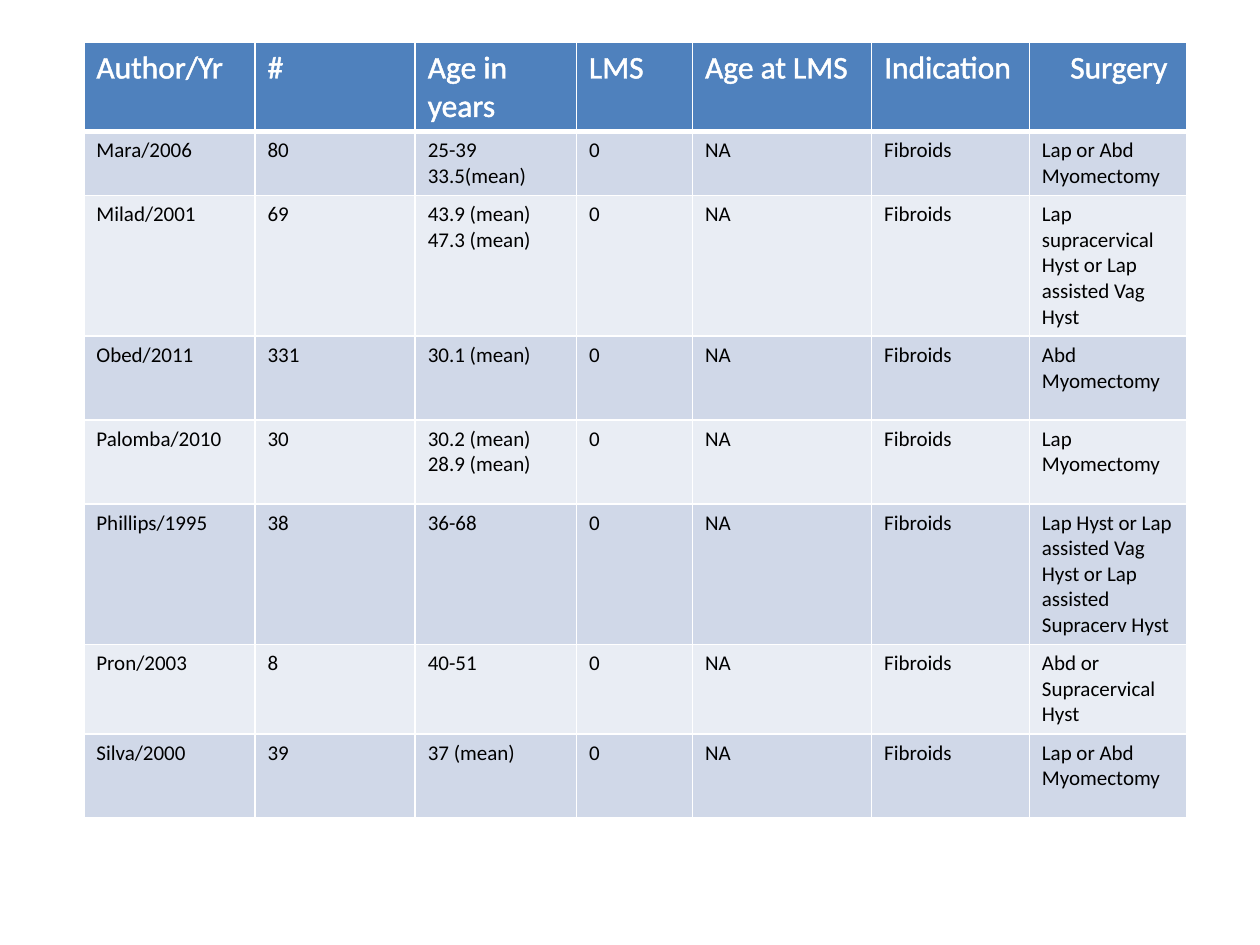
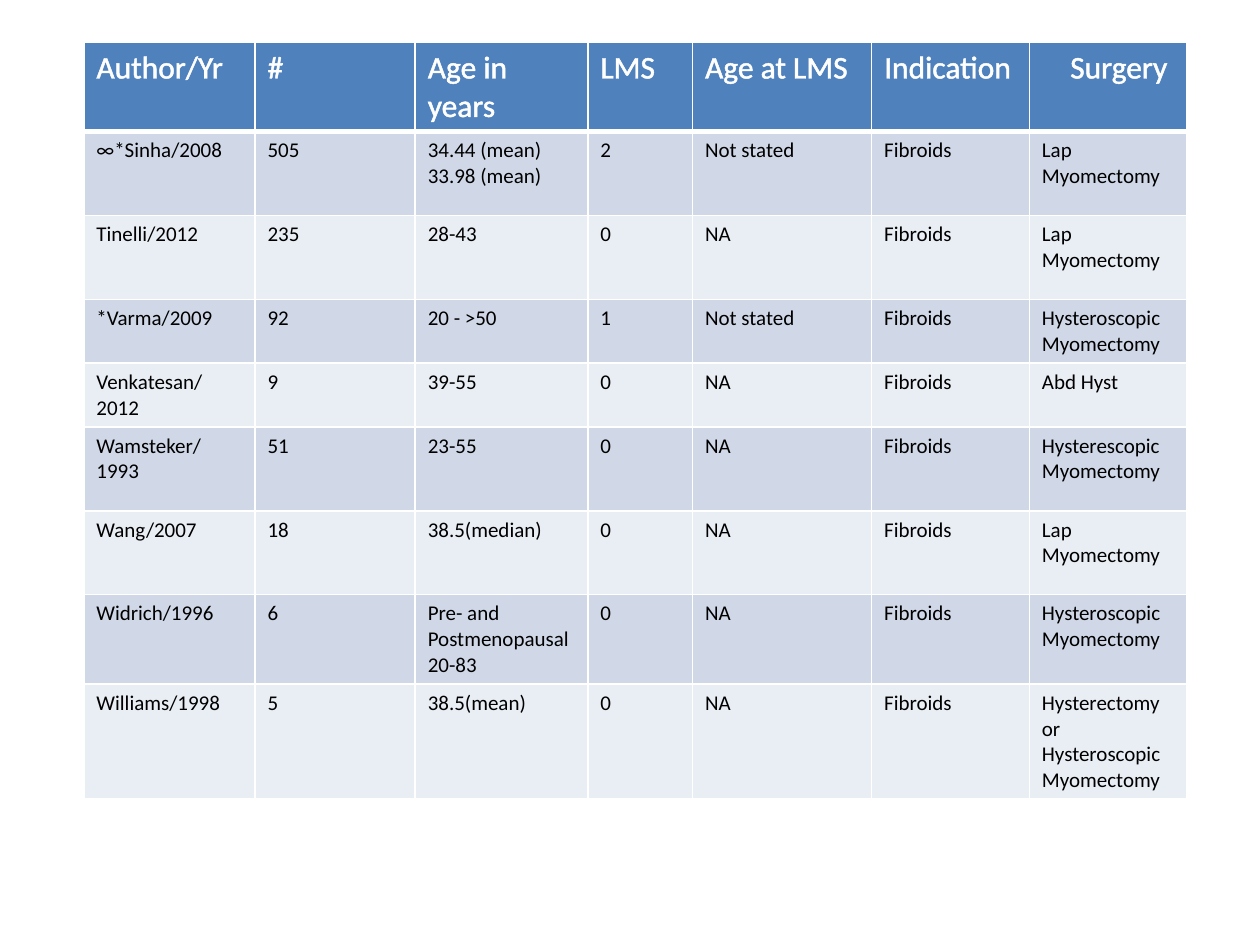
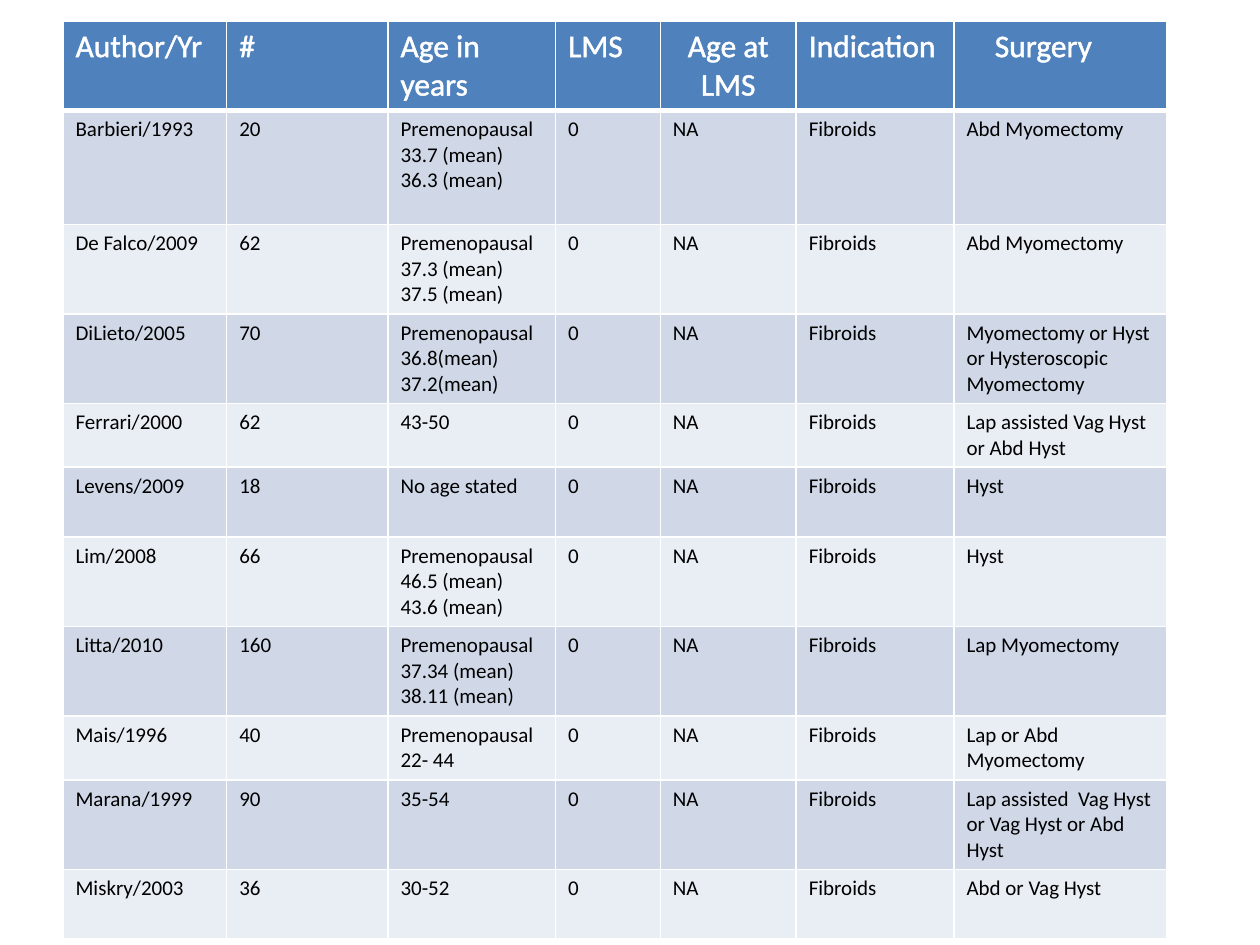
import dataclasses

import lxml.etree
import pptx
import pptx.dml.color
import pptx.enum.text
import pptx.oxml.ns
import pptx.util

Cm = pptx.util.Cm
Pt = pptx.util.Pt
qn = pptx.oxml.ns.qn
Align = pptx.enum.text.PP_ALIGN


@dataclasses.dataclass(frozen=True)
class Theme:
    """Colours, type sizes and line widths shared by all pages."""
    font: str = "Calibri"
    header_fill: str = "4F81BD"
    bands: tuple = ("D0D8E8", "E9EDF4")
    white: str = "FFFFFF"
    black: str = "000000"
    header_size: float = 18
    body_size: float = 12
    outline: float = 1.45
    rule: float = 1
    header_rule: float = 3
    surgery_indent: float = 0.57


@dataclasses.dataclass(frozen=True)
class Study:
    """One study, with the least height of its row in centimetres."""
    height: float
    author: str
    patients: str
    age: str
    surgery: str
    cases: str = "0"
    case_age: str = "NA"
    indication: str = "Fibroids"

    def cells(self):
        """Return the texts of the row in column order."""
        return (self.author, self.patients, self.age, self.cases,
                self.case_age, self.indication, self.surgery)


@dataclasses.dataclass(frozen=True)
class StudyPage:
    """Place, column widths and studies of one page."""
    left: float
    top: float
    columns: tuple
    header_height: float
    studies: tuple
    case_age_align: Align = Align.LEFT


THEME = Theme()
HEADINGS = ("Author/Yr", "#", "Age in years", "LMS", "Age at LMS", "Indication", "Surgery")
PAGES = (
    StudyPage(1.69, 0.85, (3.45, 3.23, 3.25, 2.34, 3.61, 3.18, 3.18), 1.69, (
        Study(1.06, "Mara/2006", "80", "25-39\n33.5(mean)", "Lap or Abd Myomectomy"),
        Study(1.69, "Milad/2001", "69", "43.9 (mean)\n47.3 (mean)",
              "Lap supracervical Hyst or Lap assisted Vag Hyst"),
        Study(1.69, "Obed/2011", "331", "30.1 (mean)", "Abd Myomectomy"),
        Study(1.69, "Palomba/2010", "30", "30.2 (mean)\n28.9 (mean)", "Lap Myomectomy"),
        Study(1.69, "Phillips/1995", "38", "36-68",
              "Lap Hyst or Lap assisted Vag Hyst or Lap assisted Supracerv Hyst"),
        Study(1.69, "Pron/2003", "8", "40-51", "Abd or Supracervical Hyst"),
        Study(1.69, "Silva/2000", "39", "37 (mean)", "Lap or Abd Myomectomy"),
    )),
    StudyPage(1.69, 0.85, (3.45, 3.23, 3.48, 2.11, 3.61, 3.18, 3.18), 1.69, (
        Study(1.69, "∞*Sinha/2008", "505", "34.44 (mean)\n33.98 (mean)", "Lap Myomectomy",
              "2", "Not stated"),
        Study(1.69, "Tinelli/2012", "235", "28-43", "Lap Myomectomy"),
        Study(1.27, "*Varma/2009", "92", "20 - >50", "Hysteroscopic Myomectomy",
              "1", "Not stated"),
        Study(1.27, "Venkatesan/\n2012", "9", "39-55", "Abd Hyst"),
        Study(1.69, "Wamsteker/\n1993", "51", "23-55", "Hysterescopic Myomectomy"),
        Study(1.69, "Wang/2007", "18", "38.5(median)", "Lap Myomectomy"),
        Study(0.85, "Widrich/1996", "6", "Pre- and Postmenopausal\v20-83",
              "Hysteroscopic Myomectomy"),
        Study(1.69, "Williams/1998", "5", "38.5(mean)",
              "Hysterectomy or Hysteroscopic Myomectomy"),
    )),
    StudyPage(1.27, 0.42, (3.3, 3.25, 3.38, 2.11, 2.74, 3.18, 4.29), 1.41, (
        Study(2.3, "Barbieri/1993", "20", "Premenopausal\v33.7 (mean)\n36.3 (mean)",
              "Abd Myomectomy"),
        Study(1.41, "De Falco/2009", "62", "Premenopausal\v37.3 (mean)\n37.5 (mean)",
              "Abd Myomectomy"),
        Study(1.41, "DiLieto/2005", "70", "Premenopausal\v36.8(mean)\n37.2(mean)",
              "Myomectomy or Hyst or Hysteroscopic Myomectomy"),
        Study(1.02, "Ferrari/2000", "62", "43-50", "Lap assisted Vag Hyst\nor Abd Hyst"),
        Study(1.41, "Levens/2009", "18", "No age stated", "Hyst"),
        Study(1.13, "Lim/2008", "66", "Premenopausal\v46.5 (mean)\n43.6 (mean)", "Hyst"),
        Study(1.19, "Litta/2010", "160", "Premenopausal\v37.34 (mean)\n38.11 (mean)",
              "Lap Myomectomy"),
        Study(0.85, "Mais/1996", "40", "Premenopausal\v22- 44", "Lap or Abd Myomectomy"),
        Study(1.41, "Marana/1999", "90", "35-54",
              "Lap assisted  Vag Hyst or Vag Hyst or Abd Hyst"),
        Study(1.41, "Miskry/2003", "36", "30-52", "Abd or Vag Hyst"),
    ), Align.CENTER),
)


def rgb(value):
    """Turn a hex string into a colour."""
    return pptx.dml.color.RGBColor.from_string(value)


def make_line(tag, width):
    """Make a solid white line element of the given width in points."""
    line = lxml.etree.Element(qn(tag), w=str(int(Pt(width))))
    fill = lxml.etree.SubElement(line, qn("a:solidFill"))
    lxml.etree.SubElement(fill, qn("a:srgbClr"), val=THEME.white)
    return line


def style_cell(cell, fill, top, bottom):
    """Give a cell its borders and its fill."""
    properties = cell._tc.get_or_add_tcPr()
    widths = {"L": THEME.rule, "R": THEME.rule, "T": top, "B": bottom}
    for side, width in widths.items():
        properties.append(make_line(f"a:ln{side}", width))
    cell.fill.solid()
    cell.fill.fore_color.rgb = rgb(fill)


def write_cell(cell, text, size, color):
    """Write a text run by run, with its paragraphs and line breaks."""
    frame = cell.text_frame
    for number, block in enumerate(text.split("\n")):
        para = frame.add_paragraph() if number else frame.paragraphs[0]
        for position, words in enumerate(block.split("\v")):
            if position:
                para.add_line_break()
            span = para.add_run()
            span.text = words
            span.font.name = THEME.font
            span.font.size = Pt(size)
            span.font.bold = False
            span.font.color.rgb = rgb(color)


def fill_header(table, case_age_align):
    """Fill the header row with outlined headings."""
    cells = table.rows[0].cells
    for cell, heading in zip(cells, HEADINGS):
        style_cell(cell, THEME.header_fill, THEME.rule, THEME.header_rule)
        write_cell(cell, heading, THEME.header_size, THEME.white)
        span = cell.text_frame.paragraphs[0].runs[0]
        span.font._element.insert(0, make_line("a:ln", THEME.outline))
    cells[HEADINGS.index("Age at LMS")].text_frame.paragraphs[0].alignment = case_age_align
    surgery = cells[HEADINGS.index("Surgery")].text_frame.paragraphs[0]
    surgery._p.get_or_add_pPr().set("marL", str(int(Cm(THEME.surgery_indent))))


def fill_study(table, number, study):
    """Fill one banded row with a study."""
    band = THEME.bands[(number - 1) % len(THEME.bands)]
    top = THEME.header_rule if number == 1 else THEME.rule
    for cell, text in zip(table.rows[number].cells, study.cells()):
        style_cell(cell, band, top, THEME.rule)
        write_cell(cell, text, THEME.body_size, THEME.black)


def add_study_page(deck, layout):
    """Add a page with its table of studies."""
    page = deck.slides.add_slide(deck.slide_layouts[6])
    heights = [layout.header_height] + [study.height for study in layout.studies]
    table = page.shapes.add_table(
        len(heights), len(HEADINGS), Cm(layout.left), Cm(layout.top),
        Cm(sum(layout.columns)), Cm(sum(heights))).table
    table.horz_banding = False
    for column, width in zip(table.columns, layout.columns):
        column.width = Cm(width)
    for row, height in zip(table.rows, heights):
        row.height = Cm(height)
    fill_header(table, layout.case_age_align)
    for number, study in enumerate(layout.studies, 1):
        fill_study(table, number, study)


def main():
    """Build and save the deck."""
    deck = pptx.Presentation()
    deck.slide_width, deck.slide_height = Cm(25.4), Cm(19.05)
    for layout in PAGES:
        add_study_page(deck, layout)
    deck.save("out.pptx")


if __name__ == "__main__":
    main()
